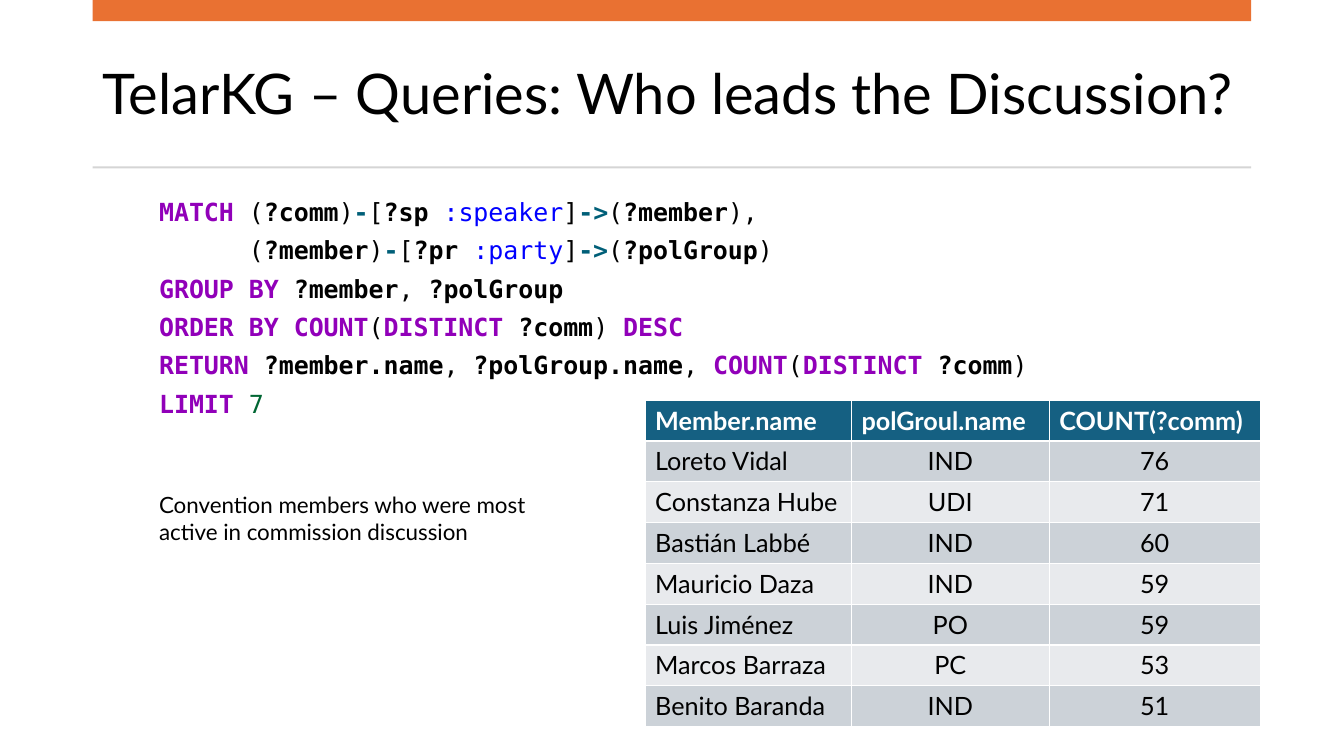
from pptx import Presentation
from pptx.dml.color import RGBColor
from pptx.enum.shapes import MSO_SHAPE
from pptx.enum.text import MSO_ANCHOR, PP_ALIGN
from pptx.util import Inches, Pt

RECTANGLE = MSO_SHAPE.RECTANGLE
TOP, MIDDLE = MSO_ANCHOR.TOP, MSO_ANCHOR.MIDDLE
LEFT, CENTER = PP_ALIGN.LEFT, PP_ALIGN.CENTER

BLACK = RGBColor(0x00, 0x00, 0x00)
WHITE = RGBColor(0xFF, 0xFF, 0xFF)
ORANGE = RGBColor(0xE9, 0x71, 0x32)
RULE_GREY = RGBColor(0xD5, 0xD5, 0xD5)
HEADER_BLUE = RGBColor(0x15, 0x60, 0x82)
BANDS = (RGBColor(0xCC, 0xD2, 0xD8), RGBColor(0xE8, 0xEA, 0xED))
KEYWORD = RGBColor(0x91, 0x00, 0xB9)
OPERATOR = RGBColor(0x00, 0x5F, 0x78)
EDGE_TYPE = RGBColor(0x00, 0x00, 0xFF)
NUMBER = RGBColor(0x00, 0x66, 0x33)

BODY_FONT, CODE_FONT = "Lato", "DejaVu Sans Mono"

# Tokens are separated by a bar.
QUERY = (
    "MATCH| (|?comm|)|-|[|?sp| |:speaker|]|->|(|?member|),",
    "      (|?member|)|-|[|?pr| |:party|]|->|(|?polGroup|)",
    "GROUP| |BY| |?member|, |?polGroup",
    "ORDER| |BY| |COUNT|(|DISTINCT| |?comm|) |DESC",
    "RETURN| |?member.name|, |?polGroup.name|, |COUNT|(|DISTINCT| |?comm|)",
    "LIMIT| |7",
)

LEADERS = (
    ("Member.name", "polGroul.name", "COUNT(?comm)"),
    ("Loreto Vidal", "IND", "76"),
    ("Constanza Hube", "UDI", "71"),
    ("Bastián Labbé", "IND", "60"),
    ("Mauricio Daza", "IND", "59"),
    ("Luis Jiménez", "PO", "59"),
    ("Marcos Barraza", "PC", "53"),
    ("Benito Baranda", "IND", "51"),
)


def add_span(para, text, size=18, font=BODY_FONT, color=BLACK, bold=False):
    span = para.add_run()
    span.text = text
    span.font.size = Pt(size)
    span.font.name = font
    span.font.color.rgb = color
    span.font.bold = bold


def token_format(token):
    """Return the colour and weight of one query token."""
    if token.isupper():
        return {"color": KEYWORD, "bold": True}
    if token.startswith("?"):
        return {"bold": True}
    if token in ("-", "->"):
        return {"color": OPERATOR, "bold": True}
    if token.startswith(":"):
        return {"color": EDGE_TYPE}
    if token.isdigit():
        return {"color": NUMBER}
    return {}


class SlideBuilder:
    """Places elements on one slide; all lengths are percent of its size."""

    def __init__(self, deck):
        self.width, self.height = deck.slide_width, deck.slide_height
        self.slide = deck.slides.add_slide(deck.slide_layouts[6])

    def across(self, share):
        return round(self.width * share / 100)

    def down(self, share):
        return round(self.height * share / 100)

    def area(self, left, top, width, height):
        return (self.across(left), self.down(top),
                self.across(width), self.down(height))

    def bar(self, *area, color):
        shape = self.slide.shapes.add_shape(RECTANGLE, *self.area(*area))
        shape.shadow.inherit = False
        shape.fill.solid()
        shape.fill.fore_color.rgb = color
        shape.line.fill.background()

    def frame(self, *area, anchor=TOP):
        frame = self.slide.shapes.add_textbox(*self.area(*area)).text_frame
        frame.word_wrap = True
        frame.vertical_anchor = anchor
        return frame

    def title(self, *area, text):
        para = self.frame(*area, anchor=MIDDLE).paragraphs[0]
        para.line_spacing = 0.9
        add_span(para, text, size=40)

    def caption(self, *area, text):
        para = self.frame(*area).paragraphs[0]
        para.space_after = Pt(6)
        add_span(para, text, size=16)

    def code(self, *area, lines):
        frame = self.frame(*area)
        for index, line in enumerate(lines):
            para = frame.add_paragraph() if index else frame.paragraphs[0]
            para.space_after = Pt(6)
            for token in line.split("|"):
                add_span(para, token, size=17.8, font=CODE_FONT,
                         **token_format(token))

    def table(self, left, top, column_widths, row_height, rows):
        area = self.area(left, top, sum(column_widths), row_height * len(rows))
        table = self.slide.shapes.add_table(
            len(rows), len(column_widths), *area).table
        for column, width in zip(table.columns, column_widths):
            column.width = self.across(width)
        for row_index, row in enumerate(rows):
            header = row_index == 0
            table.rows[row_index].height = self.down(row_height)
            for column_index, text in enumerate(row):
                cell = table.cell(row_index, column_index)
                cell.fill.solid()
                cell.fill.fore_color.rgb = (
                    HEADER_BLUE if header else BANDS[(row_index - 1) % 2])
                para = cell.text_frame.paragraphs[0]
                para.alignment = LEFT if header or column_index == 0 else CENTER
                add_span(para, text, color=WHITE if header else BLACK,
                         bold=header)


def main():
    deck = Presentation()
    deck.slide_width, deck.slide_height = Inches(13.33), Inches(7.5)
    page = SlideBuilder(deck)
    page.title(6.9, 4.93, 86.2, 15.73,
               text="TelarKG – Queries: Who leads the Discussion?")
    page.bar(6.9, 0, 86.2, 2.8, color=ORANGE)
    page.bar(6.9, 22, 86.2, 0.27, color=RULE_GREY)
    page.code(11.1, 25.33, 69.24, 36.93, lines=QUERY)
    page.table(48, 52.93, (15.35, 14.72, 15.7), 5.4, LEADERS)
    page.caption(
        11.1, 64.27, 29.4, 8.53,
        text="Convention members who were most active in commission discussion")
    deck.save("out.pptx")


if __name__ == "__main__":
    main()
